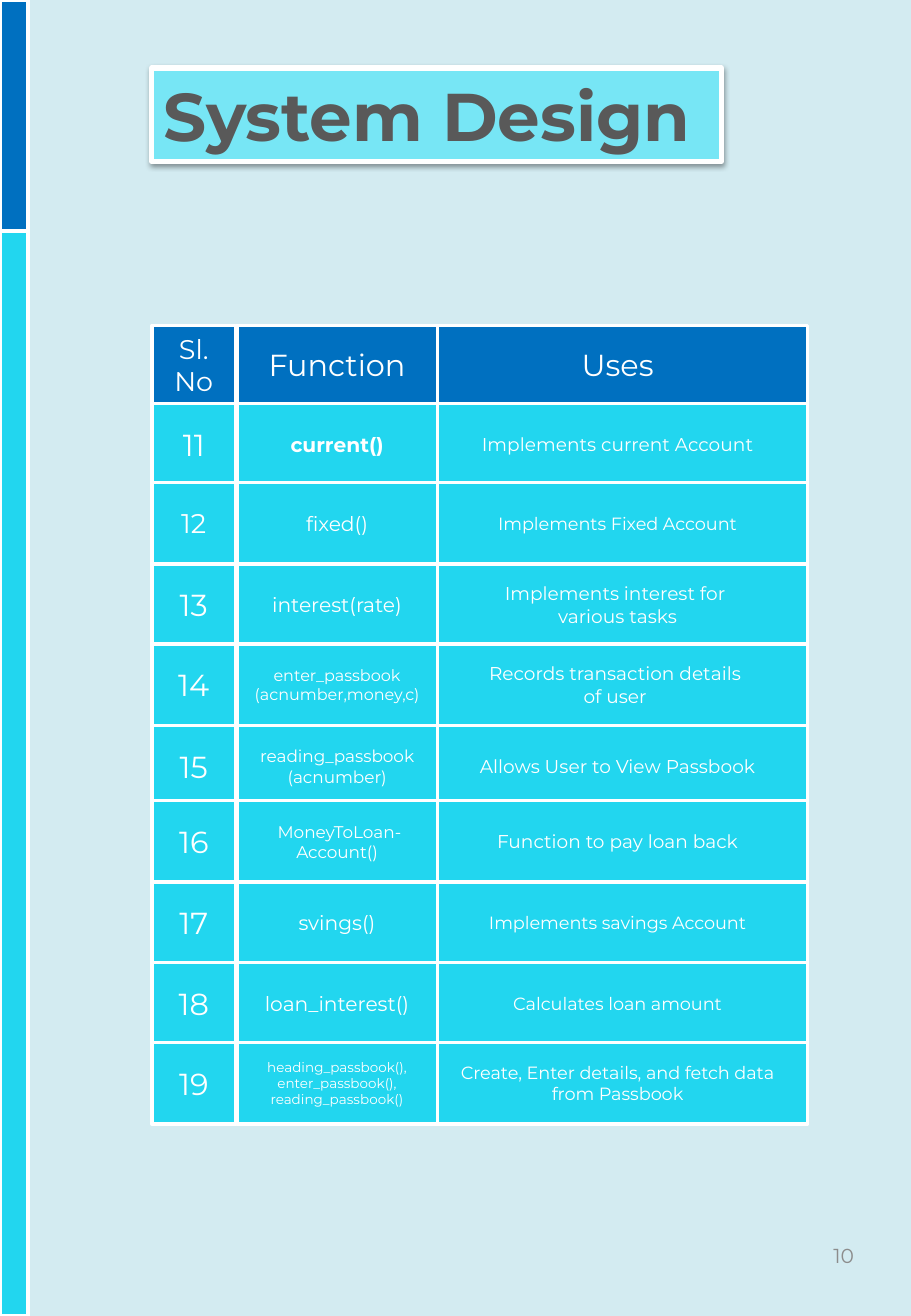
from dataclasses import dataclass

from lxml import etree
from pptx import Presentation
from pptx.dml.color import RGBColor
from pptx.enum.shapes import MSO_SHAPE
from pptx.enum.text import MSO_ANCHOR, PP_ALIGN
from pptx.oxml.ns import qn
from pptx.shapes.autoshape import Shape
from pptx.shapes.shapetree import GroupShapes, SlideShapes
from pptx.slide import Slide
from pptx.text.text import TextFrame
from pptx.util import Inches, Pt

RECTANGLE = MSO_SHAPE.RECTANGLE
TOP, MIDDLE = MSO_ANCHOR.TOP, MSO_ANCHOR.MIDDLE
CENTER, LEFT, RIGHT = PP_ALIGN.CENTER, PP_ALIGN.LEFT, PP_ALIGN.RIGHT

FONT = "Montserrat"
BACKGROUND, BLUE, CYAN, PALE_CYAN = "D3EBF1", "0070C0", "22D6EF", "77E6F5"
WHITE, DARK_GRAY, GRAY = "FFFFFF", "595959", "8C8C8C"

SLIDE_WIDTH, SLIDE_HEIGHT = 7.5, 10.83
SIDEBAR_WIDTH, SIDEBAR_SPLIT = 0.23, 1.9
HEADER_HEIGHT, ROW_HEIGHT = 0.64, 0.67


@dataclass
class Column:
    left: float
    width: float


@dataclass
class Cell:
    text: str
    size: float
    bold: bool = False


@dataclass
class Row:
    top: float
    number: Cell
    function: Cell
    uses: Cell
    height: float = ROW_HEIGHT
    fill: str = CYAN


NUMBER_COLUMN = Column(1.25, 0.69)
FUNCTION_COLUMN = Column(1.95, 1.65)
USES_COLUMN = Column(3.52, 3.13)

ROWS = (
    Row(2.68, Cell("Sl.\nNo", 16), Cell("Function", 18), Cell("Uses", 18),
        HEADER_HEIGHT, BLUE),
    Row(3.32, Cell("11", 18), Cell("current()", 12, bold=True),
        Cell("Implements current Account", 11)),
    Row(3.97, Cell("12", 16), Cell("fixed()", 12),
        Cell("Implements Fixed Account", 10.5)),
    Row(4.64, Cell("13", 18), Cell("interest(rate)", 12),
        Cell("Implements interest for \nvarious tasks", 11)),
    Row(5.3, Cell("14", 18), Cell("enter_passbook\n(acnumber,money,c)", 9.5),
        Cell("Records transaction details \nof user ", 11)),
    Row(5.97, Cell("15", 18), Cell("reading_passbook\n(acnumber)", 10),
        Cell("Allows User to View Passbook", 11)),
    Row(6.59, Cell("16", 18), Cell(" MoneyToLoan-Account()", 10),
        Cell("Function to pay loan back", 11)),
    Row(7.26, Cell("17", 18), Cell("svings()", 12),
        Cell("Implements savings Account", 10.5)),
    Row(7.92, Cell("18", 18), Cell("loan_interest()", 12),
        Cell("Calculates loan amount", 10.5)),
    Row(8.58, Cell("19", 18),
        Cell("heading_passbook(), enter_passbook(), reading_passbook()", 8),
        Cell("Create, Enter details, and fetch data from Passbook", 10.5)),
)


def color(hex_value: str) -> RGBColor:
    return RGBColor.from_string(hex_value)


def write_text(frame: TextFrame, text: str, size: float, text_color: str,
               alignment: PP_ALIGN, anchor: MSO_ANCHOR, bold: bool = False) -> None:
    frame.text = text
    frame.word_wrap = True
    frame.vertical_anchor = anchor
    for paragraph in frame.paragraphs:
        paragraph.alignment = alignment
        paragraph.font.name = FONT
        paragraph.font.size = Pt(size)
        paragraph.font.bold = bold
        paragraph.font.color.rgb = color(text_color)


def add_panel(shapes: SlideShapes | GroupShapes, left: float, top: float,
              width: float, height: float, fill: str, line_width: float = 2) -> Shape:
    shape = shapes.add_shape(
        RECTANGLE, Inches(left), Inches(top), Inches(width), Inches(height))
    shape.shadow.inherit = False
    shape.fill.solid()
    shape.fill.fore_color.rgb = color(fill)
    shape.line.color.rgb = color(WHITE)
    shape.line.width = Pt(line_width)
    return shape


def add_shadow(shape: Shape) -> None:
    effects = shape._element.spPr.find(qn("a:effectLst"))
    shadow = etree.SubElement(
        effects, qn("a:outerShdw"), blurRad=str(Pt(3.1)), dist=str(Pt(1.6)),
        dir="5400000", algn="t", rotWithShape="0")
    shadow_color = etree.SubElement(shadow, qn("a:srgbClr"), val="000000")
    etree.SubElement(shadow_color, qn("a:alpha"), val="38000")


def add_row(slide: Slide, row: Row) -> None:
    """Group the row's panels; the function panel overlaps the uses panel."""
    group = slide.shapes.add_group_shape()
    for column, cell in ((NUMBER_COLUMN, row.number), (USES_COLUMN, row.uses),
                         (FUNCTION_COLUMN, row.function)):
        panel = add_panel(group.shapes, column.left, row.top, column.width,
                          row.height, row.fill)
        write_text(panel.text_frame, cell.text, cell.size, WHITE, CENTER, MIDDLE,
                   cell.bold)


def main() -> None:
    presentation = Presentation()
    presentation.slide_width = Inches(SLIDE_WIDTH)
    presentation.slide_height = Inches(SLIDE_HEIGHT)
    slide = presentation.slides.add_slide(presentation.slide_layouts[6])
    slide.background.fill.solid()
    slide.background.fill.fore_color.rgb = color(BACKGROUND)

    add_panel(slide.shapes, 0, 0, SIDEBAR_WIDTH, SIDEBAR_SPLIT, BLUE)
    add_panel(slide.shapes, 0, SIDEBAR_SPLIT, SIDEBAR_WIDTH,
              SLIDE_HEIGHT - SIDEBAR_SPLIT, CYAN)

    title = add_panel(slide.shapes, 1.25, 0.56, 4.69, 0.77, PALE_CYAN, line_width=3)
    add_shadow(title)
    write_text(title.text_frame, "System Design", 40, DARK_GRAY, LEFT, TOP, bold=True)

    for row in ROWS:
        add_row(slide, row)

    page_number = slide.shapes.add_textbox(
        Inches(5.38), Inches(10.04), Inches(1.75), Inches(0.58))
    write_text(page_number.text_frame, "10", 12, GRAY, RIGHT, MIDDLE)

    presentation.save("out.pptx")


if __name__ == "__main__":
    main()
